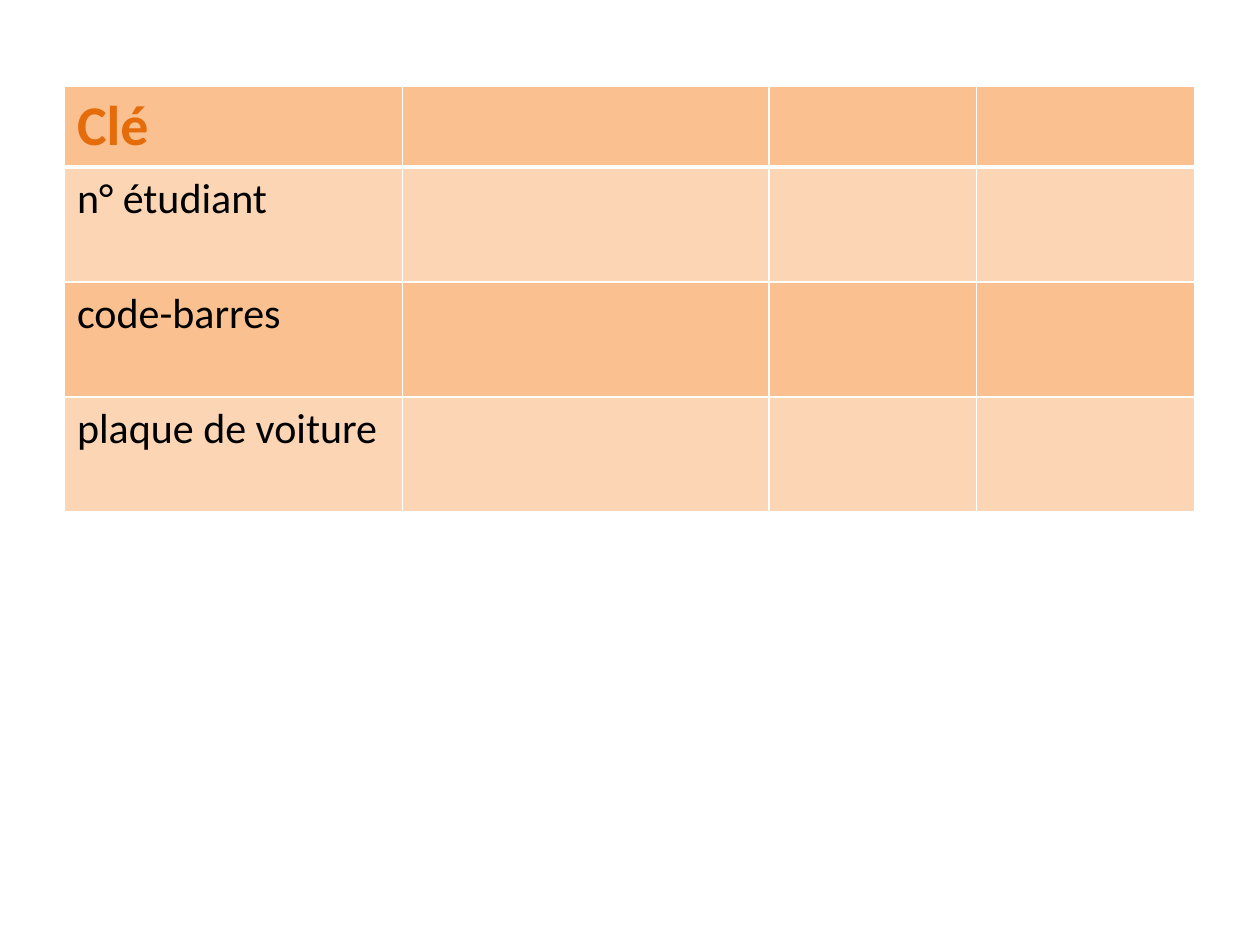
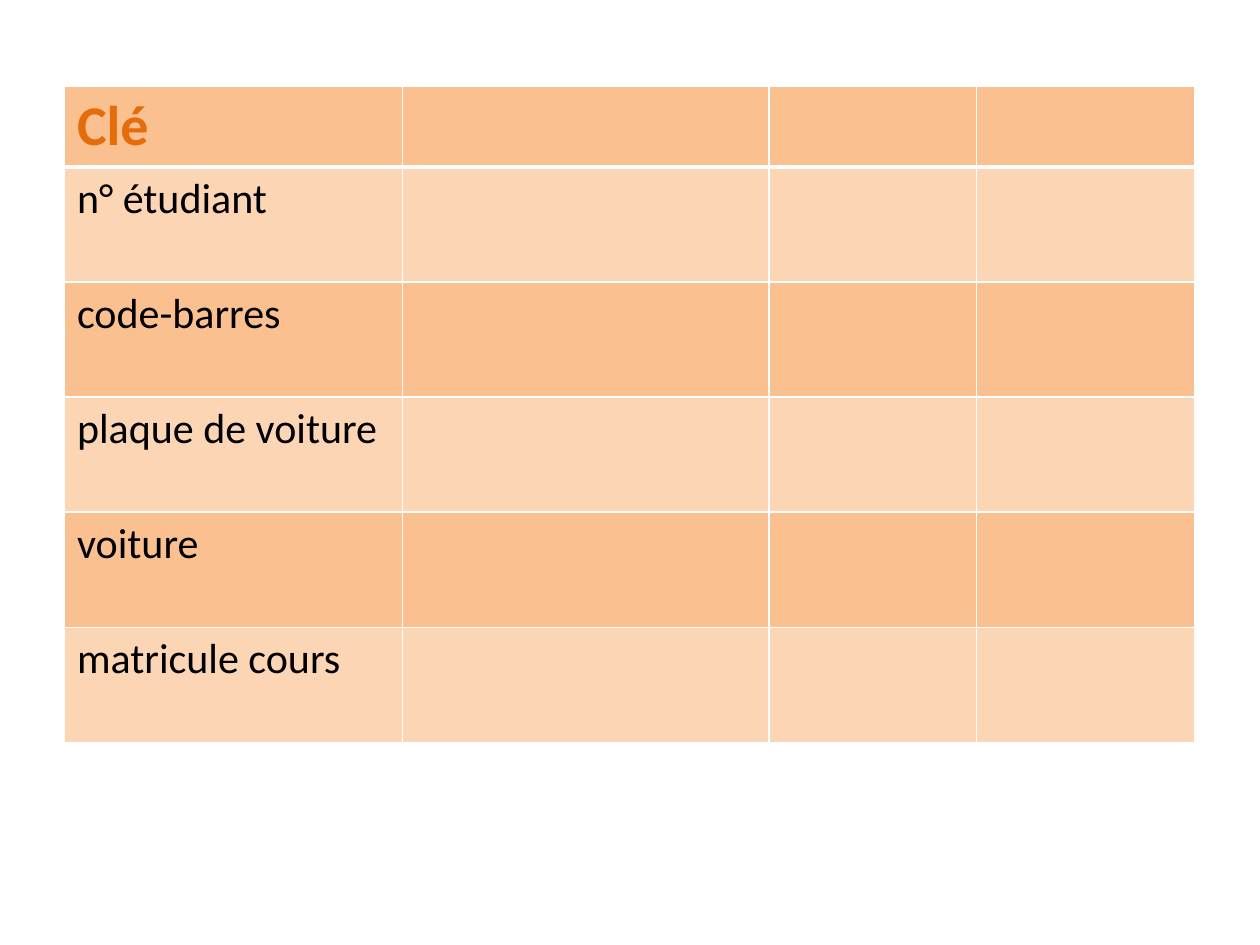
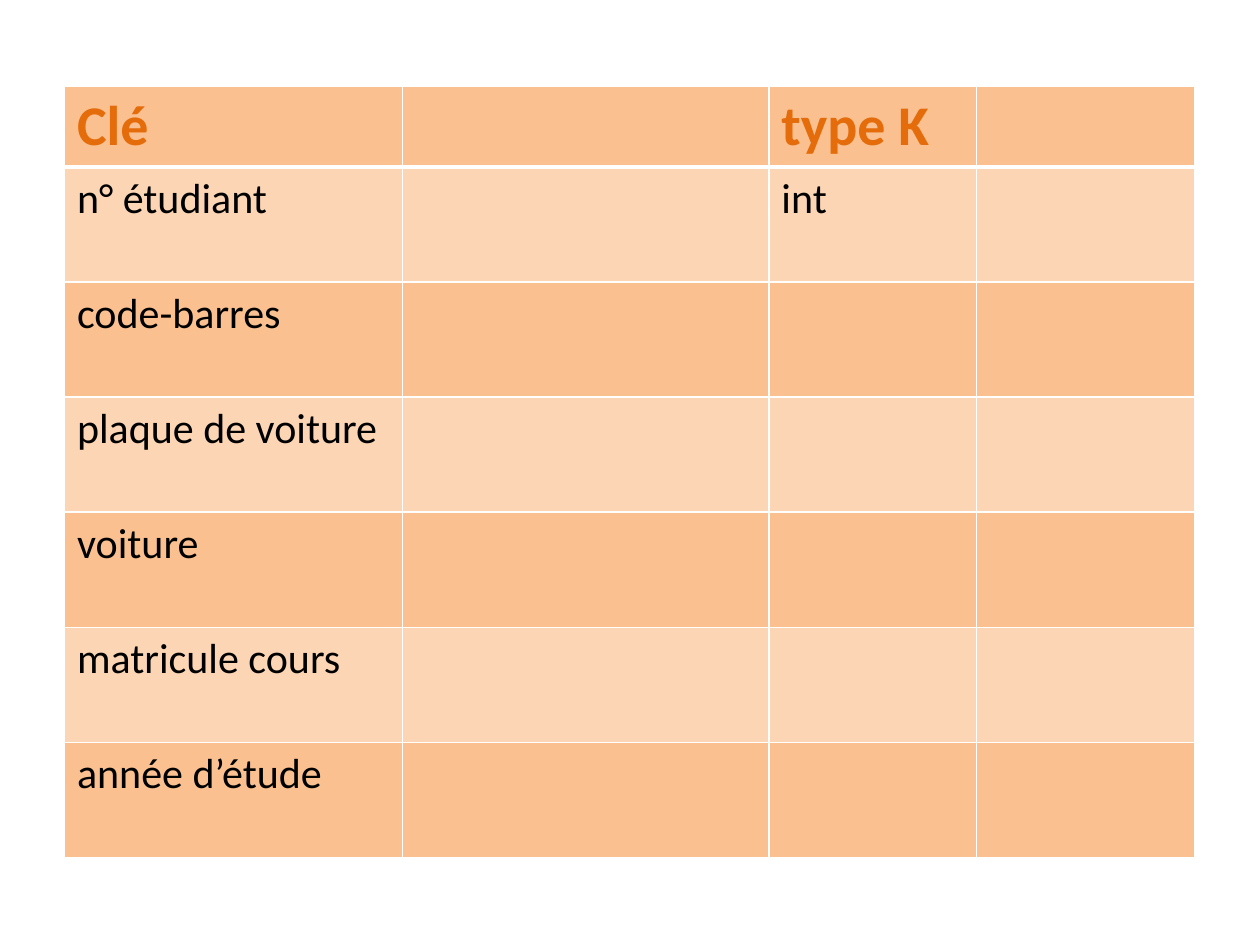
import pptx
import pptx.dml.color
import pptx.oxml.ns
import pptx.util
import lxml.etree

Cm = pptx.util.Cm
Pt = pptx.util.Pt
RGBColor = pptx.dml.color.RGBColor

WHITE = RGBColor(0xFF, 0xFF, 0xFF)
BLACK = RGBColor(0x00, 0x00, 0x00)
ORANGE = RGBColor(0xE4, 0x6C, 0x0A)
DARK = RGBColor(0xFA, 0xC0, 0x90)
LIGHT = RGBColor(0xFC, 0xD5, 0xB5)
FONT = "Calibri"

LEFT, TOP = Cm(1.3), Cm(1.73)
COLS = [Cm(6.81), Cm(7.39), Cm(4.19), Cm(4.39)]
HEAD, BODY = Cm(1.63), Cm(2.32)

KEYS = ["n° étudiant", "code-barres", "plaque de voiture",
        "voiture", "matricule cours", "année d’étude"]


def border(cell, side, width):
    props = cell._tc.get_or_add_tcPr()
    qn = pptx.oxml.ns.qn
    line = lxml.etree.SubElement(props, qn("a:ln" + side), w=str(Pt(width)))
    fill = lxml.etree.SubElement(line, qn("a:solidFill"))
    lxml.etree.SubElement(fill, qn("a:srgbClr"), val=str(WHITE))


def style(cell, row):
    widths = {"L": 1, "R": 1, "T": 3 if row == 1 else 1, "B": 3 if row == 0 else 1}
    for side, width in widths.items():
        border(cell, side, width)
    cell.fill.solid()
    cell.fill.fore_color.rgb = LIGHT if row % 2 else DARK
    for run in cell.text_frame.paragraphs[0].runs:
        run.font.name = FONT
        run.font.size = Pt(24 if row else 32)
        run.font.bold = row == 0
        run.font.color.rgb = BLACK if row else ORANGE


def key_table(slide, left, top, keys, types):
    height = HEAD + BODY * len(keys)
    frame = slide.shapes.add_table(len(keys) + 1, len(COLS), left, top, sum(COLS), height)
    table = frame.table
    for col, width in zip(table.columns, COLS):
        col.width = width
    for row, text in enumerate(["Clé"] + keys):
        table.rows[row].height = BODY if row else HEAD
        table.cell(row, 0).text_frame.text = text
    for row, text in enumerate(types):
        table.cell(row, 2).text_frame.text = text
    for row in range(len(keys) + 1):
        for col in range(len(COLS)):
            style(table.cell(row, col), row)


def main():
    deck = pptx.Presentation()
    deck.slide_width, deck.slide_height = Cm(25.4), Cm(19.05)
    for count, types in [(3, []), (5, []), (6, ["type K", "int"])]:
        slide = deck.slides.add_slide(deck.slide_layouts[6])
        key_table(slide, LEFT, TOP, KEYS[:count], types)
    deck.save("out.pptx")


if __name__ == "__main__":
    main()
